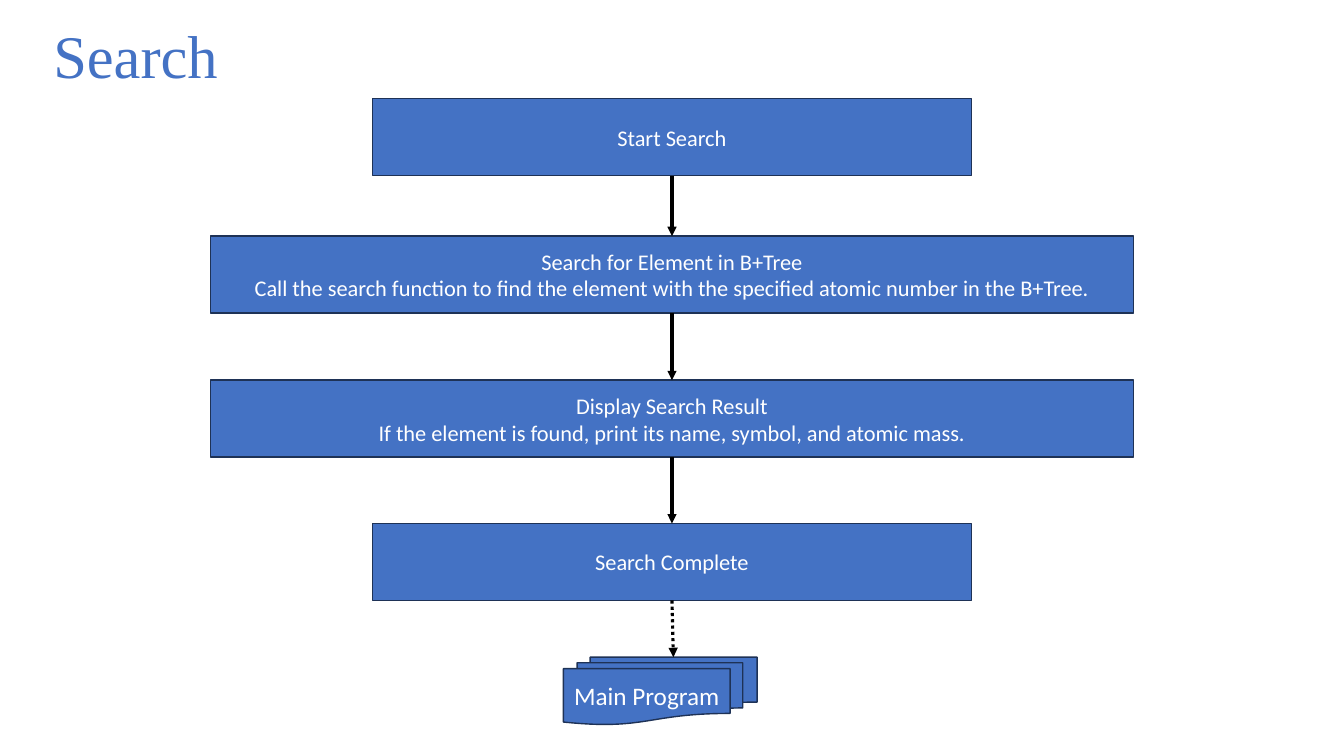
import pptx
import pptx.dml.color
import pptx.enum.dml
import pptx.enum.shapes
import pptx.enum.text
import pptx.oxml
import pptx.oxml.ns
import pptx.util

Cm = pptx.util.Cm
Pt = pptx.util.Pt
RGBColor = pptx.dml.color.RGBColor
Shape = pptx.enum.shapes.MSO_SHAPE
Align = pptx.enum.text.PP_ALIGN
Anchor = pptx.enum.text.MSO_ANCHOR

BLUE = RGBColor(0x44, 0x72, 0xC4)
NAVY = RGBColor(0x1E, 0x32, 0x56)
WHITE = RGBColor(0xFF, 0xFF, 0xFF)
BLACK = RGBColor(0x00, 0x00, 0x00)

PAGE_WIDTH = 33.87
CENTER = PAGE_WIDTH / 2
STEP_HEIGHT = 1.94
NARROW = 15.09
WIDE = 23.27
STEPS = [
    (2.49, NARROW, ["Start Search"]),
    (5.95, WIDE, [
        "Search for Element in B+Tree",
        "Call the search function to find the element with the specified atomic number in the B+Tree.",
    ]),
    (9.58, WIDE, [
        "Display Search Result",
        "If the element is found, print its name, symbol, and atomic mass.",
    ]),
    (13.19, NARROW, ["Search Complete"]),
]


def apply_format(target, values):
    for name, value in values.items():
        setattr(target, name, value)


class FlowPage:
    def __init__(self, deck):
        self.page = deck.slides.add_slide(deck.slide_layouts[5])
        self.body_font = "Calibri"
        self.title_font = "Times New Roman"

    def add_lines(self, frame, lines, font, color, paragraph_format):
        for index, line in enumerate(lines):
            para = frame.paragraphs[0] if index == 0 else frame.add_paragraph()
            apply_format(para, paragraph_format)
            span = para.add_run()
            span.text = line
            apply_format(span.font, font)
            span.font.color.rgb = color

    def title(self, text, left, top, width, height):
        box = self.page.shapes.title
        apply_format(box, {"left": Cm(left), "top": Cm(top), "width": Cm(width), "height": Cm(height)})
        apply_format(box.text_frame, {
            "word_wrap": True,
            "vertical_anchor": Anchor.TOP,
            "auto_size": pptx.enum.text.MSO_AUTO_SIZE.NONE,
        })
        font = {"name": self.title_font, "size": Pt(43.2)}
        self.add_lines(box.text_frame, [text], font, BLUE, {"alignment": Align.LEFT, "line_spacing": 0.8})

    def block(self, kind, left, top, width, height, lines, size):
        box = self.page.shapes.add_shape(kind, Cm(left), Cm(top), Cm(width), Cm(height))
        box.shadow.inherit = False
        box.fill.solid()
        box.fill.fore_color.rgb = BLUE
        box.line.color.rgb = NAVY
        box.line.width = Pt(1)
        apply_format(box.text_frame, {
            "word_wrap": True,
            "vertical_anchor": Anchor.MIDDLE,
            "margin_left": Cm(0.2),
            "margin_right": Cm(0.2),
        })
        font = {"name": self.body_font, "size": Pt(size)}
        self.add_lines(box.text_frame, lines, font, WHITE, {"alignment": Align.CENTER})
        return box

    def arrow(self, upper, lower):
        link = self.page.shapes.add_connector(pptx.enum.shapes.MSO_CONNECTOR.STRAIGHT, 0, 0, 0, 0)
        link.begin_connect(upper, 2)
        link.end_connect(lower, 0)
        link.line.color.rgb = BLACK
        link.line.width = Pt(2.25)
        namespace = pptx.oxml.ns.nsdecls("a")
        properties = link.element.spPr
        outline = properties.find(pptx.oxml.ns.qn("a:ln"))
        outline.append(pptx.oxml.parse_xml(f'<a:tailEnd {namespace} type="triangle"/>'))
        properties.append(pptx.oxml.parse_xml(f"<a:effectLst {namespace}/>"))
        return link


def main():
    deck = pptx.Presentation()
    apply_format(deck, {"slide_width": Cm(PAGE_WIDTH), "slide_height": Cm(19.05)})
    flow = FlowPage(deck)
    flow.title("Search", 1.09, 0.69, 6.1, 1.75)
    boxes = [
        flow.block(Shape.RECTANGLE, CENTER - width / 2, top, width, STEP_HEIGHT, lines, 16)
        for top, width, lines in STEPS
    ]
    for upper, lower in zip(boxes, boxes[1:]):
        flow.arrow(upper, lower)
    program = flow.block(Shape.FLOWCHART_MULTIDOCUMENT, 14.2, 16.56, 4.88, 1.7, ["Main Program"], 18)
    back = flow.arrow(boxes[-1], program)
    back.end_x = Cm(16.97)
    back.line.dash_style = pptx.enum.dml.MSO_LINE.ROUND_DOT
    deck.save("out.pptx")


if __name__ == "__main__":
    main()
